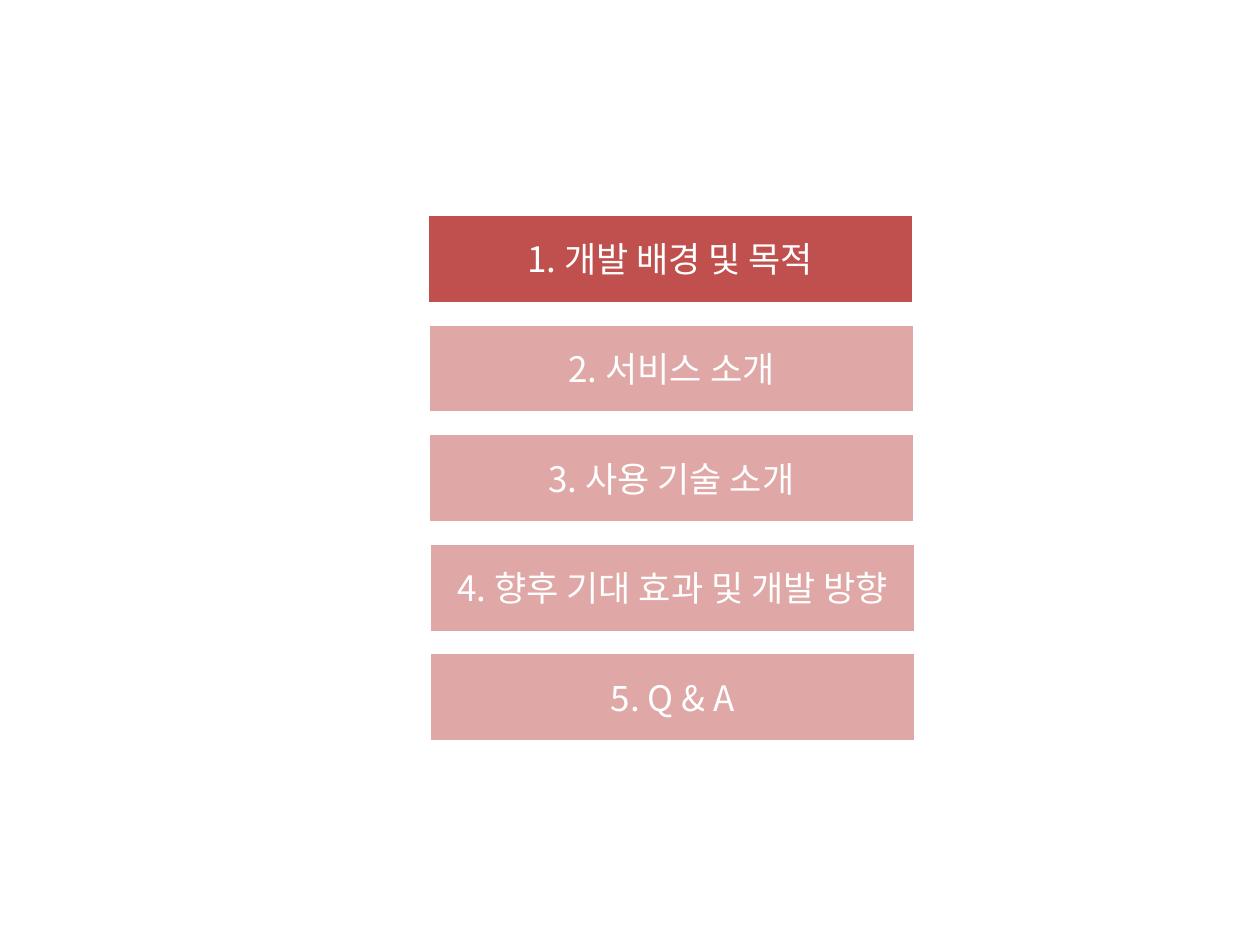
"""Build an agenda slide with the first of five sections highlighted."""
import pptx
import pptx.dml.color
import pptx.enum.shapes
import pptx.enum.text
import pptx.oxml.ns
import pptx.util
from lxml import etree

COLORS = {"section": "C0504D", "white": "FFFFFF"}
FONT_NAME = "Noto Sans CJK KR"
FONT_FORMAT = {"name": FONT_NAME, "size": pptx.util.Pt(20), "bold": False}
FRAME_FORMAT = {
    "word_wrap": True,
    "vertical_anchor": pptx.enum.text.MSO_ANCHOR.MIDDLE,
}
SECTIONS = [
    ("1. 개발 배경 및 목적", 3.39),
    ("2. 서비스 소개", 3.4),
    ("3. 사용 기술 소개", 3.4),
    ("4. 향후 기대 효과 및 개발 방향", 3.41),
    ("5. Q & A", 3.41),
]
FIRST_TOP, ROW_PITCH = 1.7, 0.87
BAR_WIDTH, BAR_HEIGHT = 3.86, 0.71
ACTIVE_SECTION = 0


def add_drawing_element(parent, tag, **attributes):
    return etree.SubElement(parent, pptx.oxml.ns.qn(tag), attributes)


presentation = pptx.Presentation()
presentation.slide_width = pptx.util.Inches(10)
presentation.slide_height = pptx.util.Inches(7.5)
slide = presentation.slides.add_slide(presentation.slide_layouts[6])
agenda = slide.shapes.add_group_shape()
white = pptx.dml.color.RGBColor.from_string(COLORS["white"])

for row, (title, left) in enumerate(SECTIONS):
    shape = agenda.shapes.add_shape(
        pptx.enum.shapes.MSO_SHAPE.RECTANGLE,
        pptx.util.Inches(left),
        pptx.util.Inches(FIRST_TOP + row * ROW_PITCH),
        pptx.util.Inches(BAR_WIDTH),
        pptx.util.Inches(BAR_HEIGHT),
    )
    shape.shadow.inherit = False
    shape.fill.solid()
    shape.fill.fore_color.rgb = pptx.dml.color.RGBColor.from_string(COLORS["section"])
    if row != ACTIVE_SECTION:
        fill_color = shape.fill._xPr.find(".//" + pptx.oxml.ns.qn("a:srgbClr"))
        add_drawing_element(fill_color, "a:alpha", val="50000")
    shape.line.color.rgb = white
    shape.line.width = pptx.util.Pt(2)

    for name, value in FRAME_FORMAT.items():
        setattr(shape.text_frame, name, value)
    paragraph = shape.text_frame.paragraphs[0]
    paragraph.alignment = pptx.enum.text.PP_ALIGN.CENTER
    run = paragraph.add_run()
    run.text = title
    for name, value in FONT_FORMAT.items():
        setattr(run.font, name, value)
    run.font.color.rgb = white
    add_drawing_element(run.font._element, "a:ea", typeface=FONT_NAME)

presentation.save("out.pptx")
